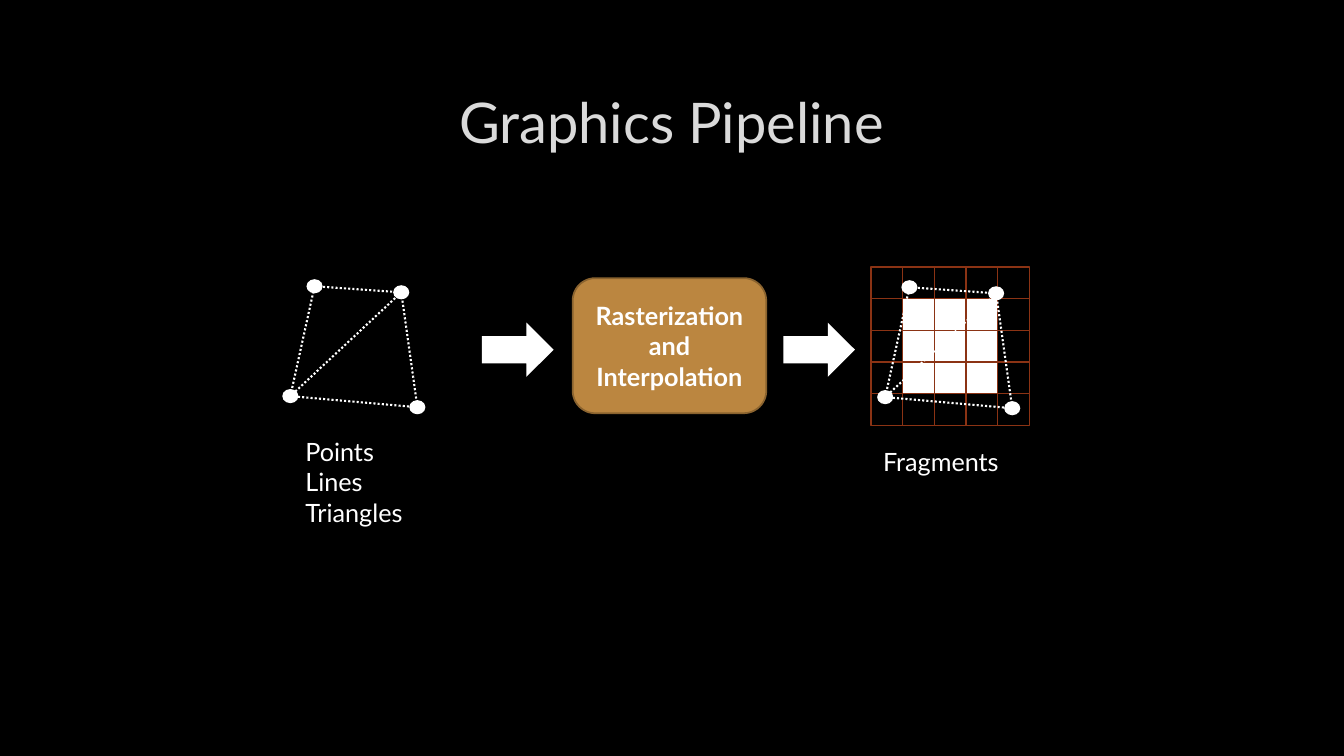
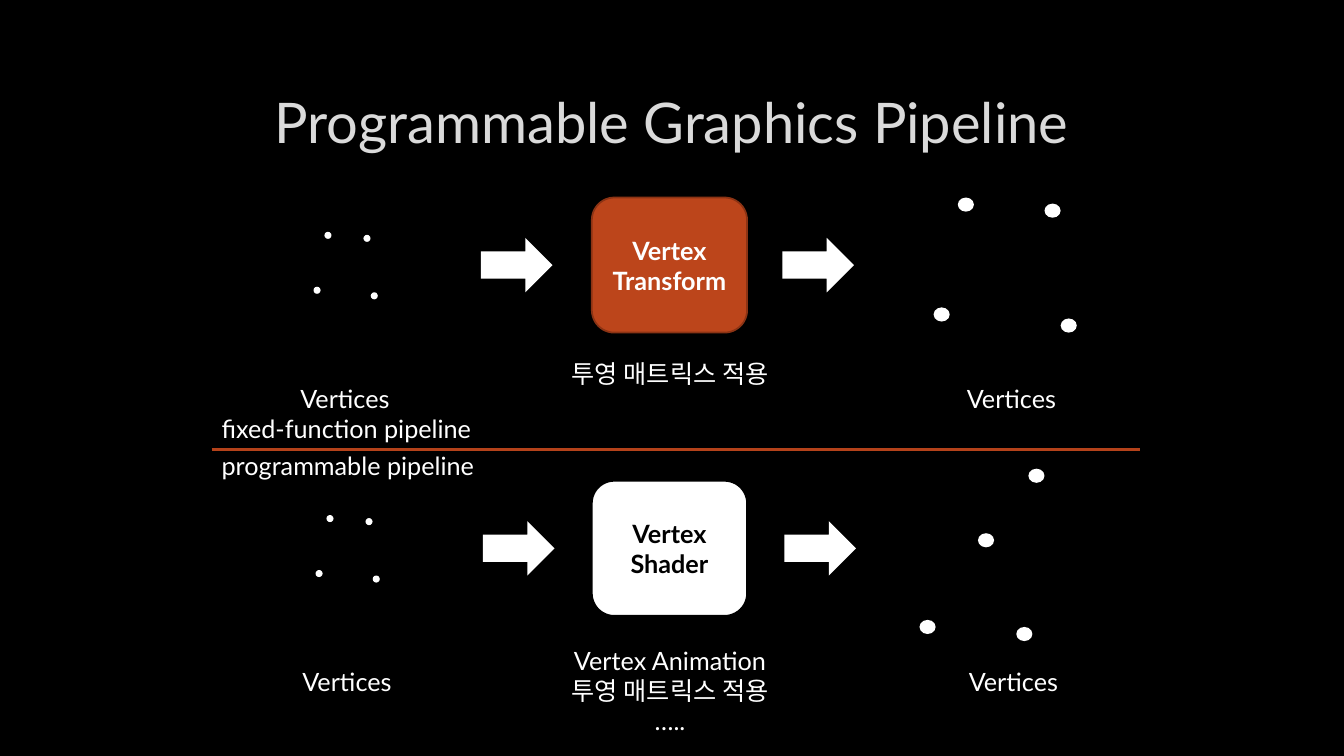
from lxml import etree
from pptx import Presentation
from pptx.dml.color import RGBColor
from pptx.enum.dml import MSO_LINE
from pptx.enum.shapes import MSO_CONNECTOR, MSO_SHAPE
from pptx.enum.text import MSO_ANCHOR, PP_ALIGN
from pptx.oxml.ns import qn
from pptx.util import Inches, Pt

ARROW = MSO_SHAPE.RIGHT_ARROW
DOT = MSO_SHAPE.FLOWCHART_CONNECTOR
ROUND = MSO_SHAPE.ROUNDED_RECTANGLE
RECT = MSO_SHAPE.RECTANGLE
STRAIGHT = MSO_CONNECTOR.STRAIGHT
DOTTED = MSO_LINE.ROUND_DOT
MIDDLE, TOP = MSO_ANCHOR.MIDDLE, MSO_ANCHOR.TOP
LEFT, CENTER = PP_ALIGN.LEFT, PP_ALIGN.CENTER

FONT = "Lato"
HUES = {
    "black": "000000",
    "white": "FFFFFF",
    "title": "DADADA",
    "gold": "BB8640",
    "bronze": "8A632F",
    "rust": "BC451B",
    "brick": "8B3314",
    "rule": "B4421A",
}
QUAD = [(0.24, 0), (0, 1.09), (1.26, 1.2), (1.1, 0.06)]
MOVED = [(1.08, 0), (0.58, 0.64), (0, 1.5), (0.96, 1.57)]
EDGES = [(1, 0), (0, 3), (3, 2), (2, 1), (3, 1)]
BIG = (0.16, 0.14)
SMALL = (0.07, 0.07)


def hue(name):
    return RGBColor.from_string(HUES[name])


def write(frame, text, size, color, align, bold=False, anchor=TOP):
    frame.text = text
    frame.vertical_anchor = anchor
    for para in frame.paragraphs:
        para.alignment = align
        for run in para.runs:
            run.font.name = FONT
            run.font.size = Pt(size)
            run.font.bold = bold
            run.font.color.rgb = hue(color)


def label(slide, box, text, align=LEFT, size=18, color="white", wrap=True, anchor=TOP):
    frame = slide.shapes.add_textbox(*map(Inches, box)).text_frame
    frame.word_wrap = wrap
    write(frame, text, size, color, align, anchor=anchor)


def shape(slide, kind, box, fill="white", edge=None, width=1):
    item = slide.shapes.add_shape(kind, *map(Inches, box))
    item.shadow.inherit = False
    item.fill.solid()
    item.fill.fore_color.rgb = hue(fill)
    if edge:
        item.line.color.rgb = hue(edge)
        item.line.width = Pt(width)
    else:
        item.line.fill.background()
    return item


def line(slide, start, end, color="white", width=1.5, dash=None):
    item = slide.shapes.add_connector(STRAIGHT, *map(Inches, (*start, *end)))
    item.line.color.rgb = hue(color)
    item.line.width = Pt(width)
    if dash:
        item.line.dash_style = dash
    etree.SubElement(item._element.spPr, qn("a:effectLst"))


def stage(slide, box, text, fill, edge, color="white"):
    item = shape(slide, ROUND, box, fill, edge, 1.25)
    write(item.text_frame, text, 18, color, CENTER, True, MIDDLE)


def arrows(slide, left, top):
    for step in (0, 2.99):
        shape(slide, ARROW, (left + step, top, 0.71, 0.54))


def dots(slide, left, top, points=QUAD, size=BIG, scale=(1, 1)):
    for x, y in points:
        shape(slide, DOT, (left + x * scale[0], top + y * scale[1], *size))


def mesh(slide, left, top):
    mids = [(left + x + BIG[0] / 2, top + y + BIG[1] / 2) for x, y in QUAD]
    for a, b in EDGES:
        line(slide, mids[a], mids[b], dash=DOTTED)
    dots(slide, left, top)


def grid(slide, left, top, side, count=5):
    cell = side / count
    for row in range(count):
        for col in range(count):
            lit = 1 <= row <= 3 and 1 <= col <= 3
            box = (left + col * cell, top + row * cell, cell, cell)
            shape(slide, RECT, box, "white" if lit else "black", "brick")


def flow(slide, left, top, text, fill, edge, color="white"):
    stage(slide, (5.87, top, 1.54, 1.34), text, fill, edge, color)
    dots(slide, left + 0.23, top + 0.34, QUAD, SMALL, (0.45, 0.5))
    arrows(slide, left + 1.89, top + 0.4)
    for shift in (0, 6.61):
        label(slide, (left + shift, top + 1.79, 1.18, 0.4), "Vertices")


def start(deck, title):
    slide = deck.slides.add_slide(deck.slide_layouts[6])
    slide.background.fill.solid()
    slide.background.fill.fore_color.rgb = hue("black")
    label(slide, (1, 0.67, 11.32, 1.06), title, CENTER, 40, "title", anchor=MIDDLE)
    return slide


def raster(deck):
    slide = start(deck, "Graphics Pipeline")
    arrows(slide, 4.78, 3.2)
    mesh(slide, 2.8, 2.77)
    label(slide, (2.93, 4.28, 1.52, 1.01), "Points\nLines\nTriangles")
    stage(slide, (5.68, 2.76, 1.92, 1.34), "Rasterization and Interpolation", "gold", "bronze")
    grid(slide, 8.64, 2.65, 1.57)
    mesh(slide, 8.7, 2.78)
    label(slide, (8.66, 4.38, 1.52, 0.4), "Fragments")


def shader(deck):
    slide = start(deck, "Programmable Graphics Pipeline")
    flow(slide, 2.88, 1.96, "Vertex Transform", "rust", "brick")
    dots(slide, 9.26, 1.96)
    flow(slide, 2.9, 4.77, "Vertex Shader", "white", "black", "black")
    dots(slide, 9.12, 4.65, MOVED)
    line(slide, (2.1, 4.46), (11.31, 4.46), "rule", 2.25)
    note = "투영 매트릭스 적용"
    label(slide, (5.25, 3.51, 2.79, 0.4), note, CENTER)
    label(slide, (5.25, 6.35, 2.79, 1.01), f"Vertex Animation\n{note}\n…..", CENTER)
    label(slide, (2.1, 4.05, 2.78, 0.4), "fixed-function pipeline", wrap=False)
    label(slide, (2.1, 4.42, 2.88, 0.4), "programmable pipeline", wrap=False)


def main():
    deck = Presentation()
    deck.slide_width = Inches(13.33)
    deck.slide_height = Inches(7.5)
    raster(deck)
    shader(deck)
    deck.save("out.pptx")


if __name__ == "__main__":
    main()
